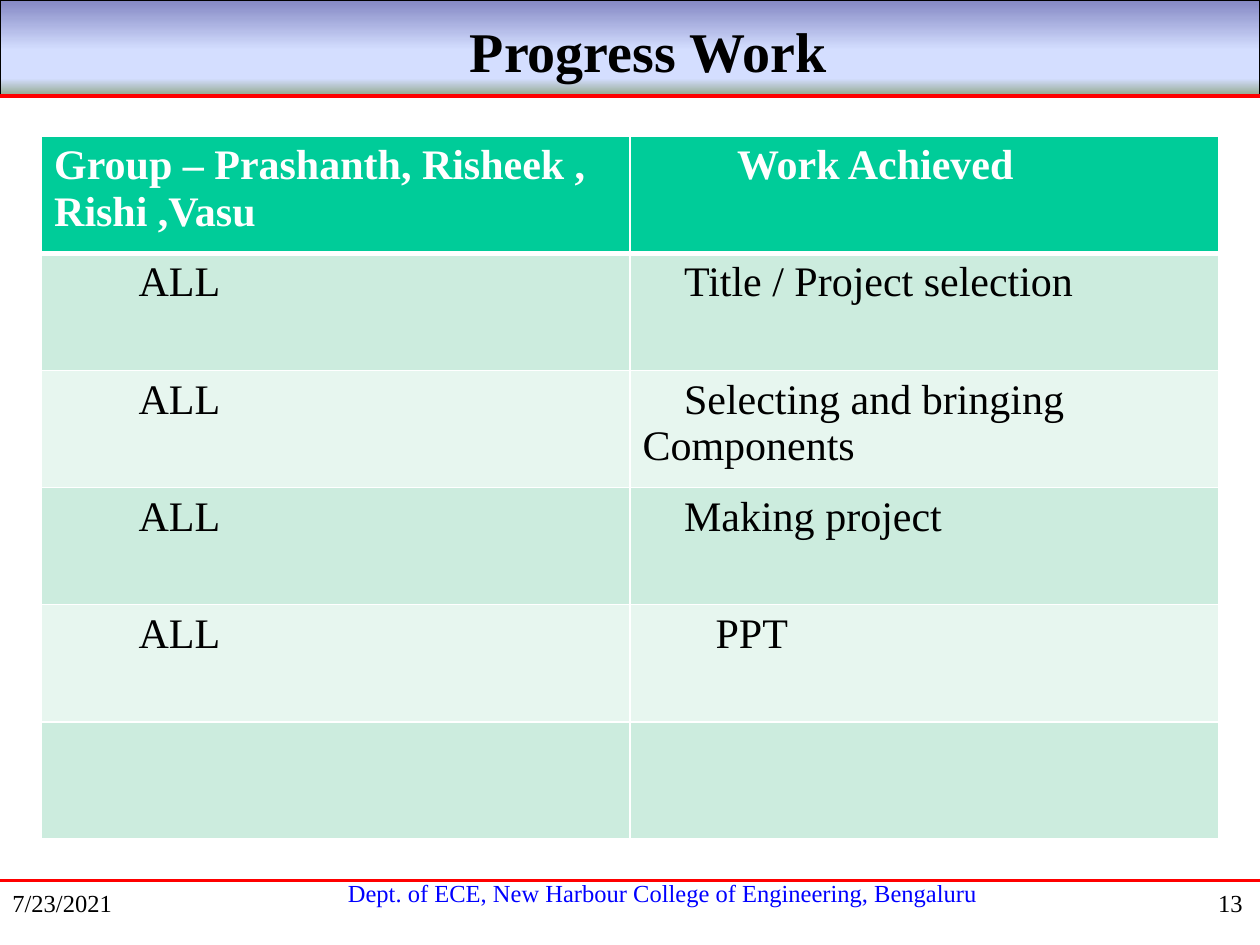
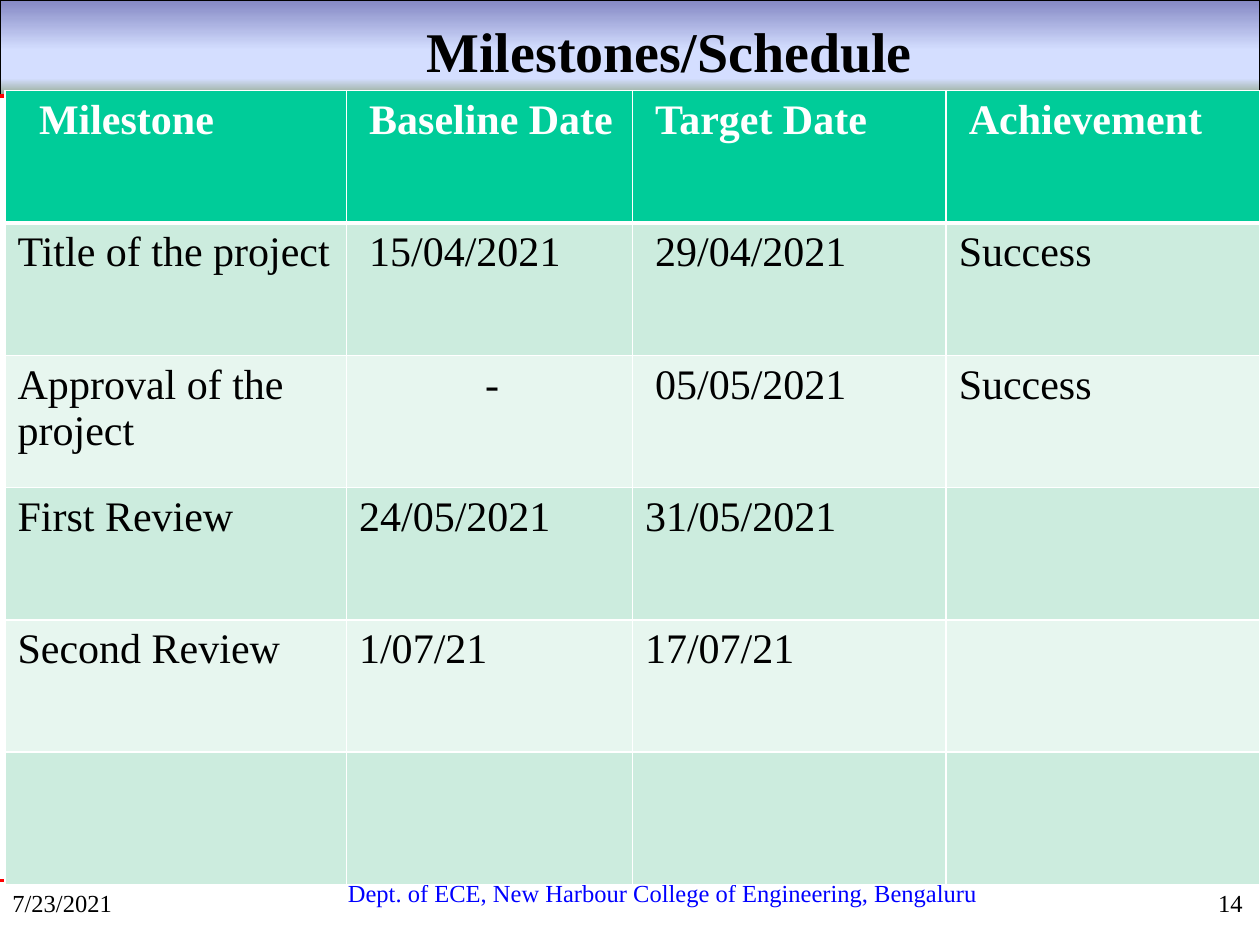
from lxml.etree import Element, SubElement
from pptx import Presentation
from pptx.dml.color import RGBColor
from pptx.enum.shapes import MSO_CONNECTOR, MSO_SHAPE
from pptx.enum.text import PP_ALIGN
from pptx.oxml.ns import qn
from pptx.util import Inches, Pt

FONT = "Times New Roman"
BLACK, WHITE, RED, BLUE = "000000", "FFFFFF", "FF0000", "0000FF"
HEADER_FILL = "00CC99"
BAND_FILLS = ("CCECDE", "E7F6EF")
BAND_GRADIENT = ((0, "8488C4"), (53, "D4DEFF"), (83, "D4DEFF"), (100, "96AB94"))

TITLE_FORMAT = {"size": Pt(32), "bold": True}
FOOTER_FORMAT = {"size": Pt(14), "bold": False}
HEADER_FORMAT = {"size": Pt(24), "bold": True}
BODY_FORMAT = {"size": Pt(24), "bold": False}

DATE = "7/23/2021"
DEPARTMENT = "Dept. of ECE, New Harbour College of Engineering, Bengaluru"

# A cell is its text, or its text with a first-line indent in inches.
ALL = ("ALL", 0.67)
SLIDES = [
    {
        "title": "Progress Work",
        "title_indent": 0.33,
        "number": "13",
        "position": (0.33, 1.08),
        "columns": (4.67, 4.67),
        "row_height": 0.93,
        "rows": [
            ("Group – Prashanth, Risheek , Rishi ,Vasu", ("Work Achieved", 0.75)),
            (ALL, ("Title / Project selection", 0.33)),
            (ALL, ("Selecting and bringing Components", 0.33)),
            (ALL, ("Making project", 0.33)),
            (ALL, ("PPT", 0.58)),
            ("", ""),
        ],
    },
    {
        "title": "Milestones/Schedule",
        "title_indent": 0.67,
        "number": "14",
        "position": (0.04, 0.72),
        "columns": (2.71, 2.27, 2.49, 2.49),
        "row_height": 1.05,
        "rows": [
            (("Milestone", 0.17), ("Baseline Date", 0.08),
             ("Target Date", 0.08), ("Achievement", 0.08)),
            ("Title of the project", ("15/04/2021", 0.08), ("29/04/2021", 0.08), "Success"),
            ("Approval of the project", ("-", 1), ("05/05/2021", 0.08), "Success"),
            ("First Review", "24/05/2021", "31/05/2021", ""),
            ("Second Review", "1/07/21", "17/07/21", ""),
            ("", "", "", ""),
        ],
    },
]


def color(value):
    """Turn a hex string into a colour."""
    return RGBColor.from_string(value)


def write(paragraph, text, text_format, text_color, **indents):
    """Put one formatted run into a paragraph, with marL or indent in inches."""
    run = paragraph.add_run()
    run.text = text
    run.font.name = FONT
    run.font.color.rgb = color(text_color)
    for name, value in text_format.items():
        setattr(run.font, name, value)
    for name, value in indents.items():
        paragraph._p.get_or_add_pPr().set(name, str(Inches(value)))


def add_text(slide, box, text, text_format, text_color=BLACK,
             alignment=PP_ALIGN.LEFT, left_indent=0):
    """Add a wrapped text box holding one paragraph."""
    frame = slide.shapes.add_textbox(*map(Inches, box)).text_frame
    frame.word_wrap = True
    paragraph = frame.paragraphs[0]
    paragraph.alignment = alignment
    write(paragraph, text, text_format, text_color, marL=left_indent)


def add_rule(slide, top, width):
    """Add a red line across the slide."""
    line = slide.shapes.add_connector(
        MSO_CONNECTOR.STRAIGHT, 0, Inches(top), Inches(10), Inches(top))
    line.line.color.rgb = color(RED)
    line.line.width = Pt(width)
    SubElement(line._element.spPr, qn("a:effectLst"))


def add_band(slide):
    """Add the shaded band behind the title."""
    band = slide.shapes.add_shape(MSO_SHAPE.RECTANGLE, 0, 0, Inches(10), Inches(0.75))
    band.shadow.inherit = False
    band.line.color.rgb = color(BLACK)
    band.line.width = Pt(0.75)
    band.fill.gradient()
    band.fill.gradient_angle = 270
    stops = band._element.spPr.find(".//" + qn("a:gsLst"))
    for stop in list(stops):
        stops.remove(stop)
    for percent, value in BAND_GRADIENT:
        stop = SubElement(stops, qn("a:gs"), pos=str(percent * 1000))
        SubElement(stop, qn("a:srgbClr"), val=value)


def add_frame(slide, content):
    """Add the band, rules, title and footers that every slide has."""
    add_band(slide)
    add_rule(slide, 0.76, 2.25)
    add_text(slide, (1.67, 6.92, 7.08, 0.33), DEPARTMENT, FOOTER_FORMAT, BLUE,
             PP_ALIGN.CENTER, 0.1)
    add_rule(slide, 6.99, 1.5)
    add_text(slide, (0, 0.08, 9.96, 0.64), content["title"], TITLE_FORMAT,
             alignment=PP_ALIGN.CENTER, left_indent=content["title_indent"])
    add_text(slide, (0, 7, 2.08, 0.5), DATE, FOOTER_FORMAT)
    add_text(slide, (7.88, 7, 2.08, 0.5), content["number"], FOOTER_FORMAT,
             alignment=PP_ALIGN.RIGHT)


def set_borders(cell, top, bottom):
    """Give a cell white borders; top and bottom are widths in points."""
    properties = cell._tc.get_or_add_tcPr()
    widths = {"a:lnL": 1, "a:lnR": 1, "a:lnT": top, "a:lnB": bottom}
    for place, (side, width) in enumerate(widths.items()):
        border = Element(qn(side), w=str(Pt(width)))
        fill = SubElement(border, qn("a:solidFill"))
        SubElement(fill, qn("a:srgbClr"), val=WHITE)
        properties.insert(place, border)


def add_grid(slide, content):
    """Add the table with a green header and alternating rows."""
    rows, columns = content["rows"], content["columns"]
    size = (sum(columns), content["row_height"] * len(rows))
    table = slide.shapes.add_table(
        len(rows), len(columns), *map(Inches, content["position"] + size)).table
    for column, width in zip(table.columns, columns):
        column.width = Inches(width)
    for index, values in enumerate(rows):
        table.rows[index].height = Inches(content["row_height"])
        header = index == 0
        fill = HEADER_FILL if header else BAND_FILLS[(index - 1) % 2]
        for cell, value in zip(table.rows[index].cells, values):
            text, indent = (value, 0) if isinstance(value, str) else value
            cell.fill.solid()
            cell.fill.fore_color.rgb = color(fill)
            set_borders(cell, 3 if index == 1 else 1, 3 if header else 1)
            if text:
                write(cell.text_frame.paragraphs[0], text,
                      HEADER_FORMAT if header else BODY_FORMAT,
                      WHITE if header else BLACK, marL=0, indent=indent)


def build():
    """Build and save the presentation."""
    presentation = Presentation()
    presentation.slide_width = Inches(10)
    presentation.slide_height = Inches(7.5)
    for content in SLIDES:
        slide = presentation.slides.add_slide(presentation.slide_layouts[6])
        add_frame(slide, content)
        add_grid(slide, content)
    presentation.save("out.pptx")


build()
